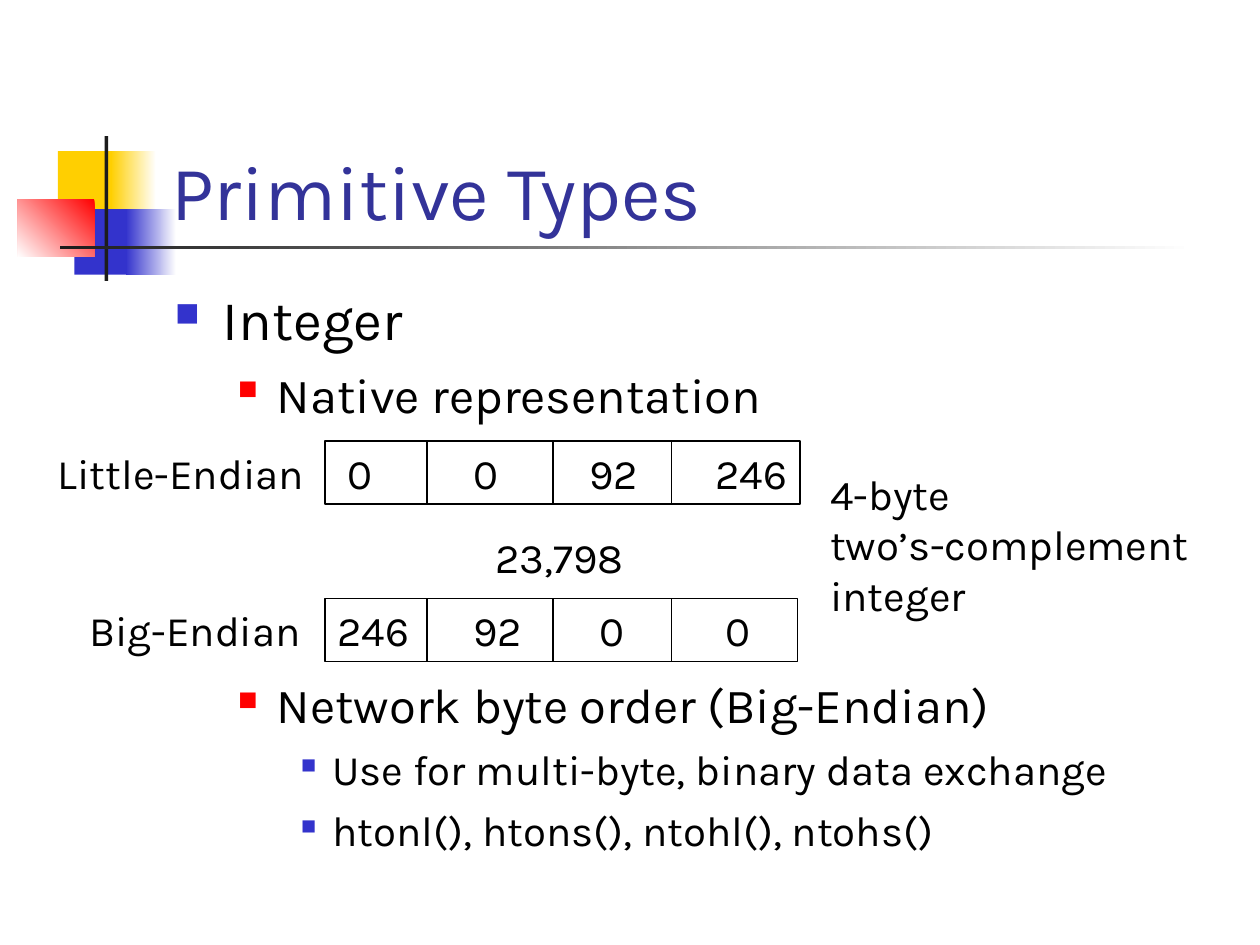
import pptx
import pptx.util
import pptx.dml.color
import pptx.enum.shapes
import pptx.enum.text
import pptx.oxml
import pptx.oxml.ns
from dataclasses import dataclass

Inches = pptx.util.Inches
Pt = pptx.util.Pt
Shape = pptx.enum.shapes.MSO_SHAPE
Anchor = pptx.enum.text.MSO_ANCHOR
Align = pptx.enum.text.PP_ALIGN


@dataclass(frozen=True)
class Theme:
    font: str = "Karla"
    title: str = "333399"
    ink: str = "000000"
    white: str = "FFFFFF"
    gold: str = "FFCF01"
    blue: str = "3333CC"
    red: str = "FF0000"
    dark: str = "1C1C1C"
    head: int = 44
    large: int = 32
    mid: int = 28
    small: int = 24
    rule: float = 0.75


def rgb(code):
    return pptx.dml.color.RGBColor.from_string(code)


def add_xml(parent, tag, **attrs):
    node = pptx.oxml.parse_xml(f"<a:{tag} {pptx.oxml.ns.nsdecls('a')}/>")
    for name, value in attrs.items():
        node.set(name, str(value))
    parent.append(node)
    return node


class Deck:
    def __init__(self, theme):
        self.theme = theme
        self.prs = pptx.Presentation()
        self.prs.slide_width, self.prs.slide_height = Inches(10), Inches(7.5)
        self.slide = self.prs.slides.add_slide(self.prs.slide_layouts[6])

    def rect(self, box):
        shape = self.slide.shapes.add_shape(Shape.RECTANGLE, *map(Inches, box))
        shape.shadow.inherit = False
        shape.line.fill.background()
        return shape

    def block(self, box, color):
        fill = self.rect(box).fill
        fill.solid()
        fill.fore_color.rgb = rgb(color)

    def fade(self, box, start, end, angle=180):
        fill = self.rect(box).fill
        fill.gradient()
        fill.gradient_angle = angle
        for stop, color in zip(fill.gradient_stops, (start, end)):
            stop.color.rgb = rgb(color)

    def add_run(self, para, words, size, color=None):
        run = para.add_run()
        run.text = words
        run.font.name = self.theme.font
        run.font.size = Pt(size)
        run.font.color.rgb = rgb(color or self.theme.ink)

    def text(self, box, lines, size, color=None, wrap=False,
             anchor=Anchor.TOP, align=Align.LEFT):
        frame = self.slide.shapes.add_textbox(*map(Inches, box)).text_frame
        frame.word_wrap = wrap
        frame.vertical_anchor = anchor
        for i, words in enumerate(lines):
            para = frame.add_paragraph() if i else frame.paragraphs[0]
            para.alignment = align
            self.add_run(para, words, size, color)

    def outline(self, box, items):
        """Bulleted list of (level, space before, words)."""
        th = self.theme
        styles = [(0.38, 0.38, th.blue, 60, th.large),
                  (0.81, 0.31, th.red, 55, th.mid),
                  (1.25, 0.25, th.blue, 50, th.small)]
        frame = self.slide.shapes.add_textbox(*map(Inches, box)).text_frame
        frame.word_wrap = True
        for i, (level, gap, words) in enumerate(items):
            left, hang, color, scale, size = styles[level]
            para = frame.add_paragraph() if i else frame.paragraphs[0]
            para.level = level
            para.space_before = Pt(gap)
            props = para._p.get_or_add_pPr()
            props.set("marL", str(Inches(left)))
            props.set("indent", str(-Inches(hang)))
            add_xml(add_xml(props, "buClr"), "srgbClr", val=color)
            add_xml(props, "buSzPct", val=scale * 1000)
            add_xml(props, "buChar", char="■")
            self.add_run(para, words, size)

    def line(self, x, top, bottom):
        line = self.slide.shapes.add_connector(
            pptx.enum.shapes.MSO_CONNECTOR.STRAIGHT,
            Inches(x), Inches(top), Inches(x), Inches(bottom))
        line.line.color.rgb = rgb(self.theme.ink)
        line.line.width = Pt(self.theme.rule)
        add_xml(line._element.spPr, "effectLst")

    def word(self, top, width, values):
        """Four-byte box, its values on one-inch tab stops."""
        left, high = 2.58, 0.5
        shape = self.rect((left, top, width, high))
        shape.fill.background()
        shape.line.color.rgb = rgb(self.theme.ink)
        shape.line.width = Pt(self.theme.rule)
        frame = shape.text_frame
        frame.word_wrap = True
        frame.vertical_anchor = Anchor.TOP
        para = frame.paragraphs[0]
        para.alignment = Align.LEFT
        tabs = add_xml(para._p.get_or_add_pPr(), "tabLst")
        for stop in range(1, 4):
            add_xml(tabs, "tab", pos=Inches(stop), algn="l")
        self.add_run(para, "\t".join(values), self.theme.small)
        for x in (3.39, 4.39, 5.33):
            self.line(x, top, top + high)


def main():
    th = Theme()
    deck = Deck(th)

    deck.block((0.46, 1.2, 0.48, 0.52), th.gold)
    deck.fade((0.88, 1.2, 0.36, 0.52), th.white, th.gold)
    deck.block((0.59, 1.66, 0.46, 0.52), th.blue)
    deck.fade((1, 1.66, 0.4, 0.52), th.white, th.blue)
    deck.fade((0.14, 1.58, 0.61, 0.46), th.red, th.white, 225)
    deck.block((0.83, 1.08, 0.03, 1.15), th.dark)
    deck.fade((0.48, 1.95, 9, 0.03), th.white, th.dark)

    deck.text((1.26, 0.67, 8.52, 1.25), ["Primitive Types"], th.head, th.title,
              wrap=True, anchor=Anchor.BOTTOM)
    deck.outline((1.29, 2.21, 8.5, 5.13), [
        (0, 8, "Integer"),
        (1, 7, "Native representation"),
        (1, 143.6, "Network byte order (Big-Endian)"),
        (2, 6, "Use for multi-byte, binary data exchange"),
        (2, 6, "htonl(), htons(), ntohl(), ntohs()"),
    ])

    little, big = 3.5, 4.75
    deck.word(little, 3.77, [" 0", " 0", "92", "246"])
    deck.text((6.49, 3.67, 3.17, 1.3),
              ["4-byte", "two’s-complement", "integer"], th.small)
    deck.text((3.82, 4.17, 1.24, 0.5), ["23,798"], th.small, align=Align.CENTER)
    deck.word(big, 3.75, ["246", " 92", " 0", " 0"])
    deck.text((0.61, big, 1.89, 0.5), ["Big-Endian"], th.small)
    deck.text((0.36, little, 2.16, 0.5), ["Little-Endian"], th.small)

    deck.prs.save("out.pptx")


if __name__ == "__main__":
    main()
